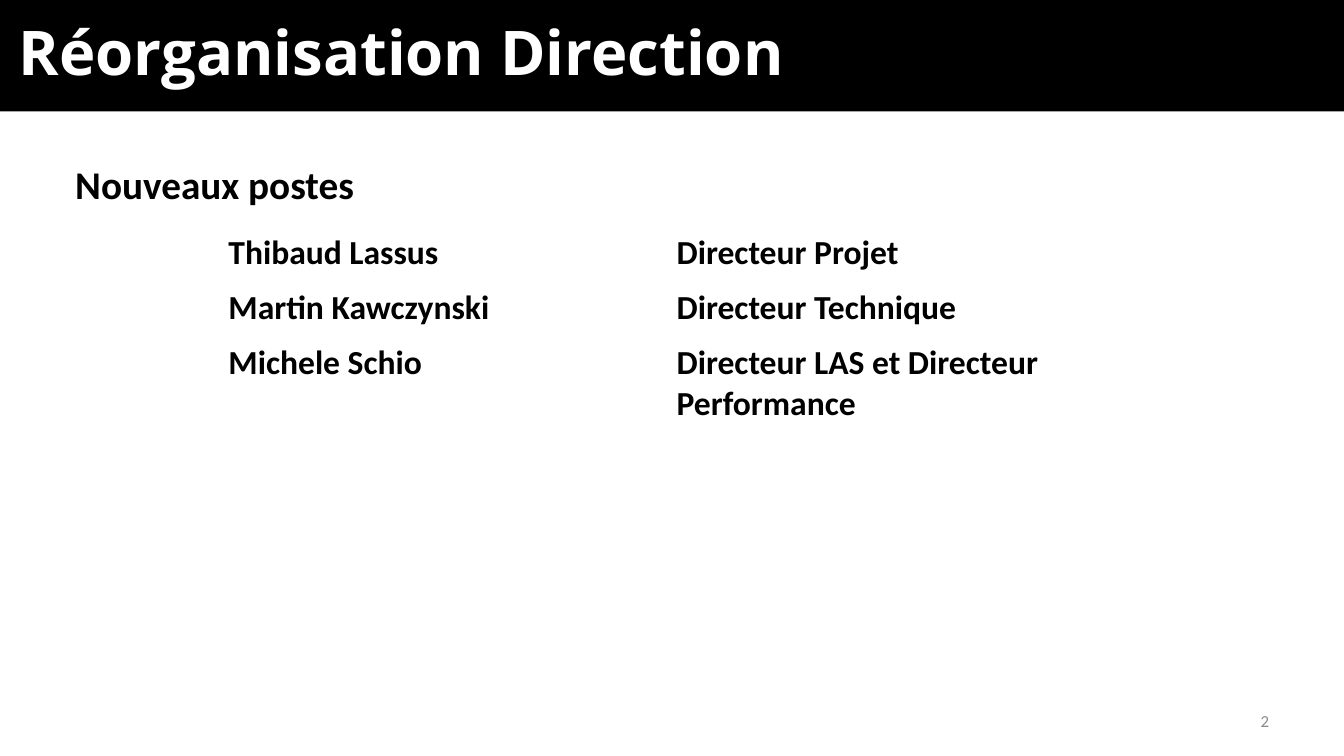
from pptx import Presentation
from pptx.dml.color import RGBColor
from pptx.enum.shapes import MSO_SHAPE
from pptx.enum.text import MSO_ANCHOR, MSO_AUTO_SIZE, PP_ALIGN
from pptx.oxml.ns import qn
from pptx.util import Inches, Pt
from lxml.etree import SubElement

COLORS = {"band": "000000", "title": "FFFFFF", "text": "000000", "number": "8C8C8C"}

POSITIONS = [
    ("Thibaud Lassus", "Directeur Projet"),
    ("Martin Kawczynski", "Directeur Technique"),
    ("Michele Schio", "Directeur LAS et Directeur Performance"),
]


def color(name):
    return RGBColor.from_string(COLORS[name])


def place(shape, left, top, width, height):
    shape.left, shape.top = Inches(left), Inches(top)
    shape.width, shape.height = Inches(width), Inches(height)


def write(frame, text, size, color_name, font="Calibri", bold=True,
          align=PP_ALIGN.LEFT):
    """Put one formatted run in the first paragraph of a text frame."""
    para = frame.paragraphs[0]
    para.alignment = align
    span = para.add_run()
    span.text = text
    span.font.name = font
    span.font.size = Pt(size)
    span.font.bold = bold
    span.font.color.rgb = color(color_name)
    return para


def add_title_band(page, left, top, width, height):
    # Black band, sent behind the placeholders
    band = page.shapes.add_shape(MSO_SHAPE.RECTANGLE, Inches(left), Inches(top),
                                 Inches(width), Inches(height))
    band.shadow.inherit = False
    band.fill.solid()
    band.fill.fore_color.rgb = color("band")
    band.line.fill.background()
    page.shapes._spTree.insert(2, band._element)

    # Title
    title = page.shapes.title
    place(title, left + 0.04, top + 0.09, width - 0.21, height - 0.19)
    frame = title.text_frame
    frame.auto_size = MSO_AUTO_SIZE.NONE
    frame.vertical_anchor = MSO_ANCHOR.MIDDLE
    para = write(frame, "Réorganisation Direction", 33, "title", font="Open Sans")
    para.line_spacing = 0.9


def add_heading(page, left, top, width, height):
    body = page.placeholders[1]
    place(body, left, top, width, height)
    body.text_frame.auto_size = MSO_AUTO_SIZE.NONE
    para = write(body.text_frame, "Nouveaux postes", 21, "text")
    para.line_spacing = 0.9
    para.space_before = Pt(7.5)
    # No bullet and no hanging indent
    properties = para._p.get_or_add_pPr()
    properties.set("marL", "0")
    properties.set("indent", "0")
    SubElement(properties, qn("a:buNone"))


def add_positions_table(page, left, top, width, row_height):
    height = row_height * len(POSITIONS)
    table = page.shapes.add_table(len(POSITIONS), 2, Inches(left), Inches(top),
                                  Inches(width), Inches(height)).table
    table.first_row = False
    table.horz_banding = False
    for row, texts in enumerate(POSITIONS):
        for column, text in enumerate(texts):
            cell = table.cell(row, column)
            cell.fill.background()
            write(cell.text_frame, text, 18, "text")


def add_page_number(page, left, top, width, height):
    box = page.shapes.add_textbox(Inches(left), Inches(top),
                                  Inches(width), Inches(height))
    box.text_frame.word_wrap = True
    box.text_frame.vertical_anchor = MSO_ANCHOR.MIDDLE
    write(box.text_frame, "2", 9, "number", bold=False, align=PP_ALIGN.RIGHT)


def main():
    deck = Presentation()
    # Widescreen page, 16:9
    deck.slide_width = Inches(10)
    deck.slide_height = Inches(10 * 9 / 16)
    page = deck.slides.add_slide(deck.slide_layouts[1])
    add_title_band(page, 0, 0, 10, 0.83)
    add_heading(page, 0.46, 1.18, 9.09, 3.57)
    add_page_number(page, 7.29, 5.21, 2.25, 0.3)
    add_positions_table(page, 1.6, 1.68, 6.67, 0.41)
    deck.save("out.pptx")


if __name__ == "__main__":
    main()
